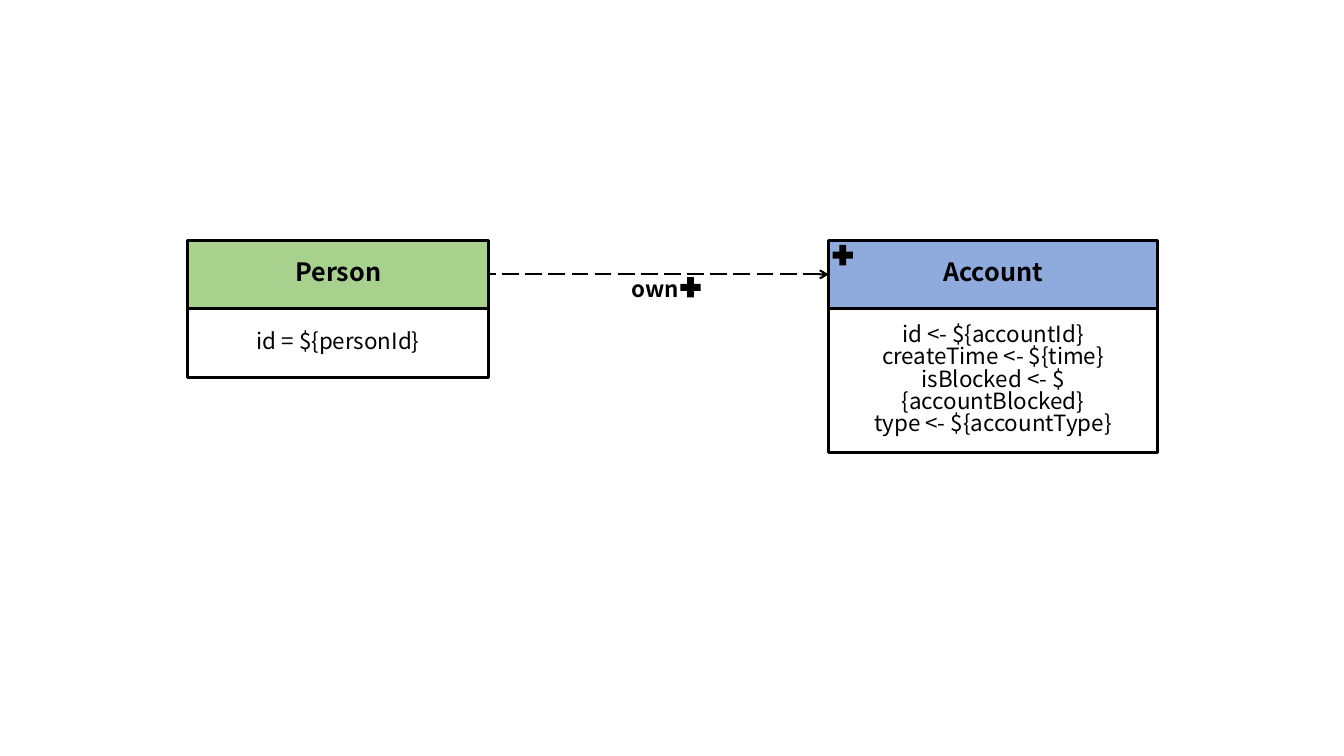
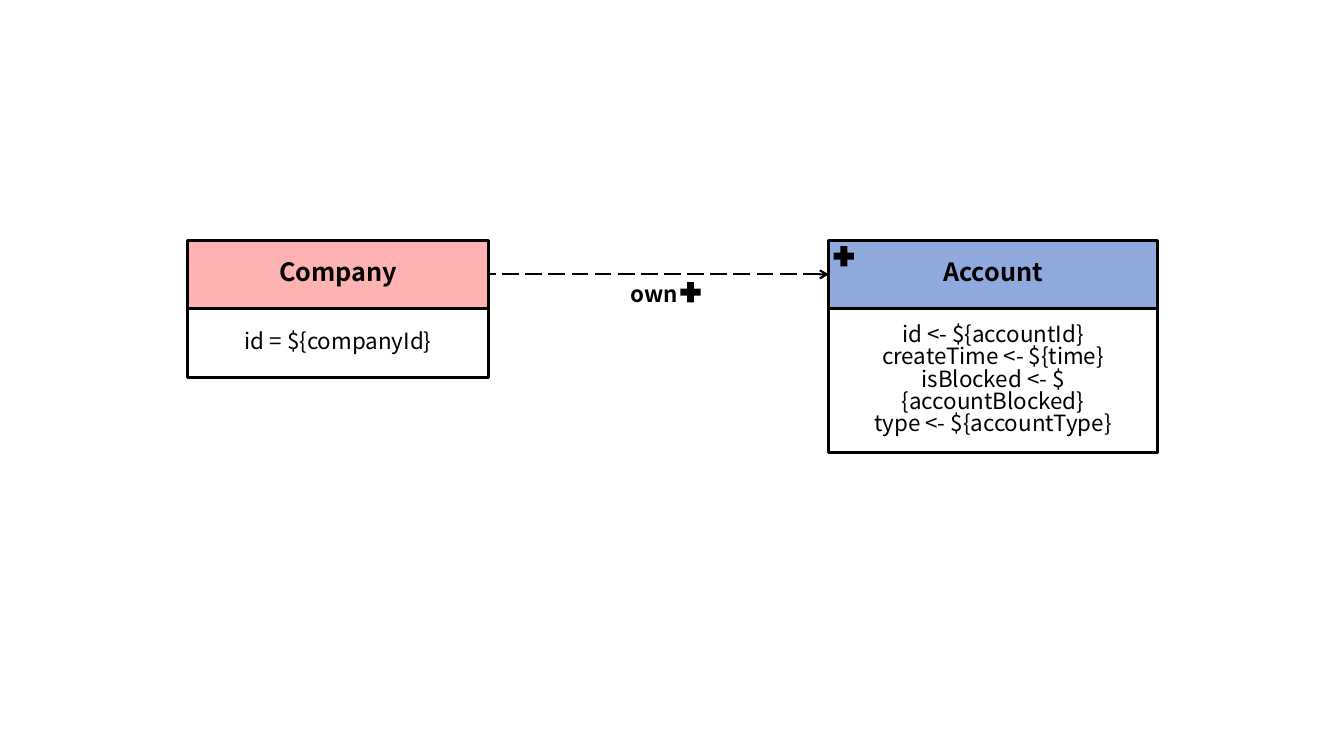
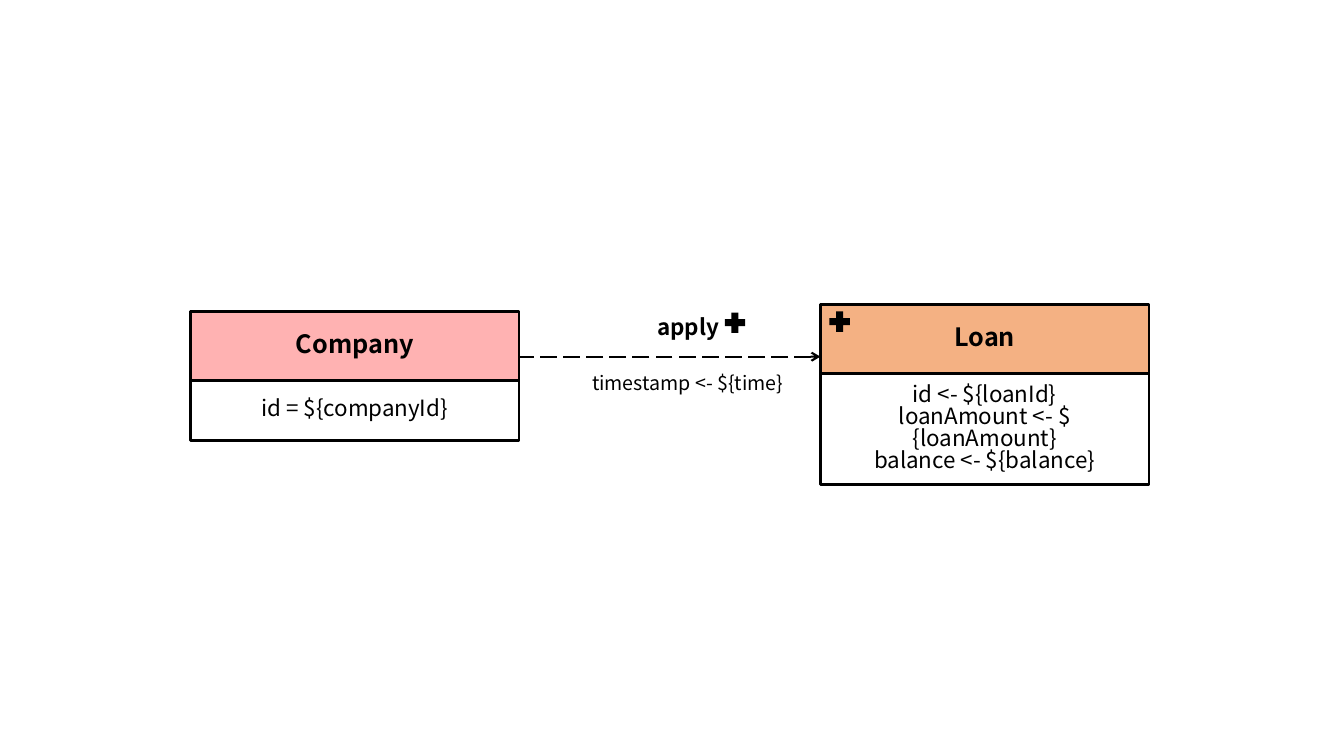
from dataclasses import dataclass

from lxml.etree import SubElement
from pptx import Presentation
from pptx.dml.color import RGBColor as RGB
from pptx.enum.dml import MSO_LINE as Dash
from pptx.enum.shapes import MSO_CONNECTOR as Wire, MSO_SHAPE as Kind
from pptx.enum.text import MSO_ANCHOR as Anchor, MSO_AUTO_SIZE as Fit, PP_ALIGN as Align
from pptx.oxml.ns import qn
from pptx.util import Pt


@dataclass(frozen=True)
class Theme:
    """Colours, type and line sizes of all slides."""
    font: str = "Noto Sans CJK SC"
    ink: RGB = RGB(0, 0, 0)
    blue: RGB = RGB(0x8F, 0xAA, 0xDC)
    green: RGB = RGB(0xA9, 0xD1, 0x8E)
    red: RGB = RGB(0xFF, 0, 0)
    orange: RGB = RGB(0xF4, 0xB1, 0x83)
    alpha: int = 30000
    title: int = 18
    body: int = 16
    note: int = 14
    leading: float = 0.83
    border: float = 2
    wire: float = 1.5


theme = Theme()
HEAD = 49
PLUS = 14.5


def write(shape, lines, size, bold=False):
    """Fill a shape with centred lines of text."""
    frame = shape.text_frame
    frame.text = "\n".join(lines)
    frame.word_wrap = True
    for para in frame.paragraphs:
        para.alignment = Align.CENTER
        para.line_spacing = theme.leading
        for run in para.runs:
            run.font.name = theme.font
            run.font.size = Pt(size)
            run.font.bold = bold
            run.font.color.rgb = theme.ink


def draw(slide, kind, box, fill=None):
    """Add a flat shape; only rectangles get a border."""
    shape = slide.shapes.add_shape(kind, *map(Pt, box))
    shape.shadow.inherit = False
    if fill is None:
        shape.fill.background()
    else:
        shape.fill.solid()
        shape.fill.fore_color.rgb = fill
    if kind == Kind.RECTANGLE:
        shape.line.color.rgb = theme.ink
        shape.line.width = Pt(theme.border)
        shape.text_frame.vertical_anchor = Anchor.MIDDLE
    else:
        shape.line.fill.background()
    return shape


# Node: name, fill, left, top, width, body height, body lines
account = ("Account", theme.blue, 592, 171.5, 234.75, 102.5,
           ["id <- ${accountId}", "createTime <- ${time}",
            "isBlocked <- ${accountBlocked}", "type <- ${accountType}"])
person = ("Person", theme.green, 134, 171.5, 215.25, 49, ["id = ${personId}"])
owner = ("Company", theme.red, 134, 171.5, 215.25, 49, ["id = ${companyId}"])
loan = ("Loan", theme.orange, 586, 217.5, 234.75, 79.5,
        ["id <- ${loanId}", "loanAmount <- ${loanAmount}", "balance <- ${balance}"])
client = ("Company", theme.red, 136, 222.5, 234.75, 43, ["id = ${companyId}"])

# Slide: source node, target node, wire height, labels, plus marks
# Label: text, size, bold, box
plans = [
    (person, account, 196,
     [("own", theme.body, True, (442.75, 196, 50.5, 26.5))],
     [(594.75, 175), (486, 198)]),
    (owner, account, 196,
     [("own", theme.body, True, (442, 199.5, 50.5, 26.5))],
     [(595.5, 175.75), (486, 201.5)]),
    (client, loan, 254.75,
     [("apply", theme.body, True, (410.5, 223, 162, 26.5)),
      ("timestamp <- ${time}", theme.note, False, (401, 264, 180.75, 24.5))],
     [(592.5, 222.5), (517.75, 223.25)]),
]

deck = Presentation()
deck.slide_width, deck.slide_height = Pt(960), Pt(540)

for source, target, level, labels, marks in plans:
    slide = deck.slides.add_slide(deck.slide_layouts[6])

    for name, fill, left, top, width, depth, lines in (target, source):
        head = draw(slide, Kind.RECTANGLE, (left, top, width, HEAD), fill)
        write(head, [name], theme.title, True)
        if fill == theme.red:
            tint = head.element.spPr.find(f".//{qn('a:srgbClr')}")
            SubElement(tint, qn("a:alpha"), val=str(theme.alpha))
        body = draw(slide, Kind.RECTANGLE, (left, top + HEAD, width, depth))
        write(body, lines, theme.body)

    start, end = target[2], source[2] + source[4]
    wire = slide.shapes.add_connector(
        Wire.STRAIGHT, Pt(start), Pt(level), Pt(end), Pt(level))
    wire.line.color.rgb = theme.ink
    wire.line.width = Pt(theme.wire)
    wire.line.dash_style = Dash.LONG_DASH
    props = wire.element.spPr
    SubElement(props.find(qn("a:ln")), qn("a:headEnd"), type="arrow")
    SubElement(props, qn("a:effectLst"))

    for text, size, bold, box in labels:
        label = slide.shapes.add_textbox(*map(Pt, box))
        write(label, [text], size, bold)
        label.text_frame.auto_size = Fit.SHAPE_TO_FIT_TEXT

    for left, top in marks:
        mark = draw(slide, Kind.CROSS, (left, top, PLUS, PLUS), theme.ink)
        mark.adjustments[0] = 0.33

deck.save("out.pptx")
